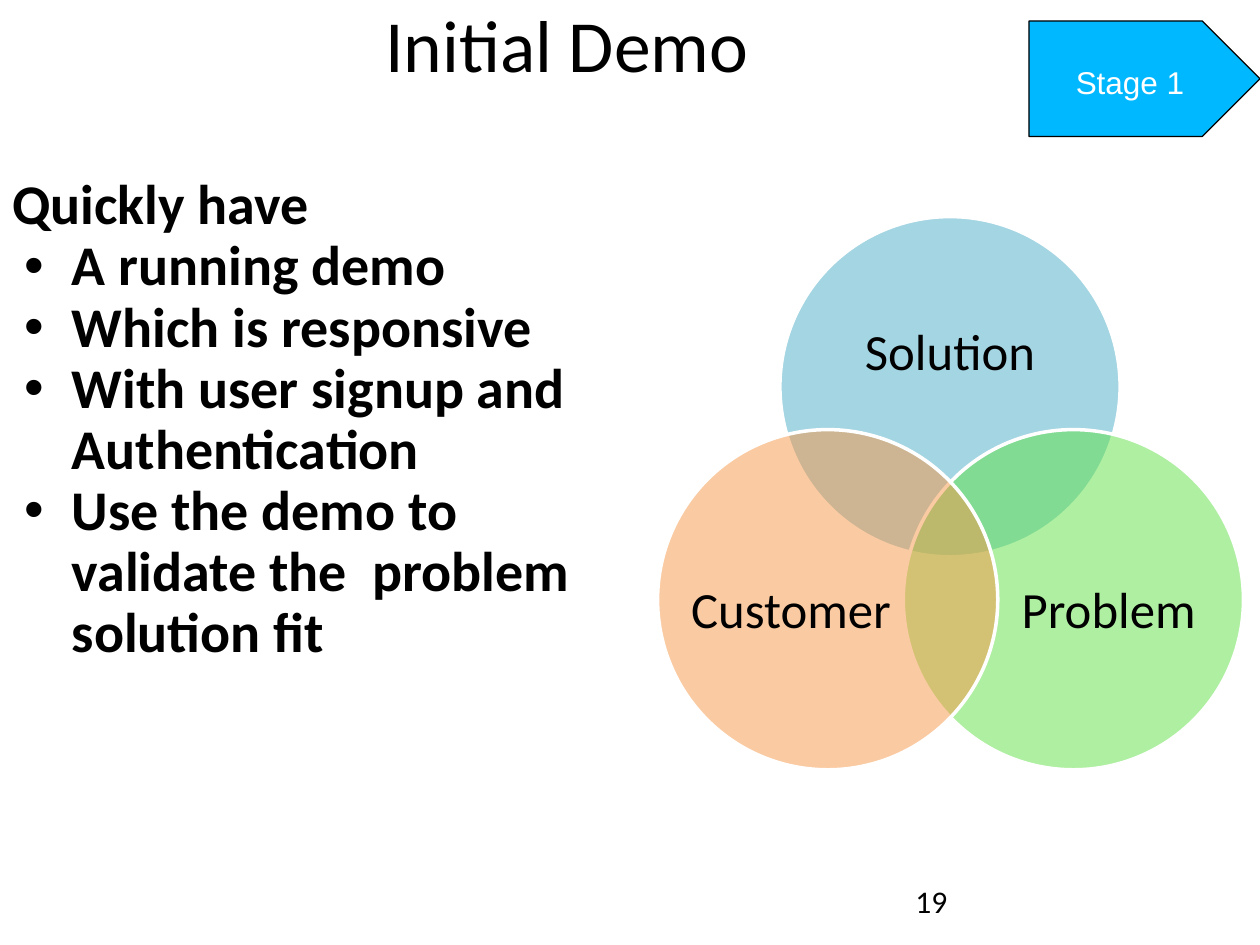
from lxml.etree import SubElement
from pptx import Presentation
from pptx.dml.color import RGBColor
from pptx.enum.shapes import MSO_SHAPE as Shape
from pptx.enum.text import MSO_ANCHOR as Anchor, PP_ALIGN as Align
from pptx.oxml.ns import qn
from pptx.util import Pt

COLORS = {
    "text": "000000",
    "white": "FFFFFF",
    "stage": "00B8FF",
    "solution": "4BACC6",
    "problem": "60E146",
    "customer": "F79646",
}


def color(name):
    return RGBColor.from_string(COLORS[name])


def add_bullet(paragraph, left=34, hanging=27):
    properties = paragraph._p.get_or_add_pPr()
    properties.set("marL", str(Pt(left)))
    properties.set("indent", str(-Pt(hanging)))
    SubElement(properties, qn("a:buFont"), typeface="Arial")
    SubElement(properties, qn("a:buChar"), char="•")


def write(paragraph, text, size=18, font="Calibri", ink="text", bold=False,
          align=Align.LEFT, spacing=1.0, bullet=False):
    paragraph.alignment = align
    paragraph.line_spacing = spacing
    if bullet:
        add_bullet(paragraph)
    run = paragraph.add_run()
    run.text = text
    run.font.size = Pt(size)
    run.font.name = font
    run.font.bold = bold
    run.font.color.rgb = color(ink)


class SlideBuilder:
    def __init__(self, slide):
        self.slide = slide

    def text_box(self, box, anchor=Anchor.TOP, inset=None):
        frame = self.slide.shapes.add_textbox(*map(Pt, box)).text_frame
        frame.word_wrap = True
        frame.vertical_anchor = anchor
        if inset is not None:
            frame.margin_left = frame.margin_right = Pt(inset)
            frame.margin_top = frame.margin_bottom = Pt(inset)
        return frame

    def text(self, text, box, anchor=Anchor.TOP, inset=None, **style):
        frame = self.text_box(box, anchor, inset)
        write(frame.paragraphs[0], text, **style)

    def bullet_list(self, heading, items, box, **style):
        frame = self.text_box(box)
        write(frame.paragraphs[0], heading, **style)
        for item in items:
            write(frame.add_paragraph(), item, bullet=True, **style)

    def shape(self, kind, box, fill, line, line_width):
        shape = self.slide.shapes.add_shape(kind, *map(Pt, box))
        shape.shadow.inherit = False
        shape.fill.solid()
        shape.fill.fore_color.rgb = color(fill)
        shape.line.color.rgb = color(line)
        shape.line.width = Pt(line_width)
        return shape

    def venn_circle(self, label, fill, left, top, label_box, diameter=194.4):
        box = (left, top, diameter, diameter)
        circle = self.shape(Shape.OVAL, box, fill, "white", 2)
        fill_color = circle._element.spPr.find(qn("a:solidFill"))[0]
        SubElement(fill_color, qn("a:alpha"), val="50000")
        self.text(label, label_box, Anchor.MIDDLE, 0, size=29,
                  align=Align.CENTER, spacing=0.9)

    def stage_arrow(self, label, box):
        arrow = self.shape(Shape.PENTAGON, box, "stage", "text", 0.75)
        frame = arrow.text_frame
        frame.vertical_anchor = Anchor.MIDDLE
        frame.margin_top = Pt(10)
        write(frame.paragraphs[0], label, font="Arial", ink="white",
              align=Align.CENTER, spacing=0.93)


def main():
    presentation = Presentation()
    presentation.slide_width = Pt(720)
    presentation.slide_height = Pt(540)
    builder = SlideBuilder(presentation.slides.add_slide(presentation.slide_layouts[6]))

    builder.text("19", (516, 500.4, 168, 28.8))
    builder.text("Initial Demo", (0, -4, 648, 113), size=42, align=Align.CENTER)
    builder.bullet_list(
        "Quickly have",
        [
            "A running demo",
            "Which is responsive",
            "With user signup and Authentication",
            "Use the demo to validate the  problem solution fit",
        ],
        (0, 97, 366, 396), size=32, bold=True, spacing=0.91)

    lower_top, label_top, label_width, label_height = 245.5, 296, 116.6, 107.3
    builder.venn_circle("Solution", "solution", 445.7, 123.8, (471.6, 158.4, 142.6, 87.8))
    for label, left, label_left in (("Problem", 516.2, 575.3), ("Customer", 375.8, 393.8)):
        builder.venn_circle(label, label.lower(), left, lower_top,
                            (label_left, label_top, label_width, label_height))

    builder.stage_arrow("Stage 1", (588, 12, 132, 66))
    presentation.save("out.pptx")


if __name__ == "__main__":
    main()
